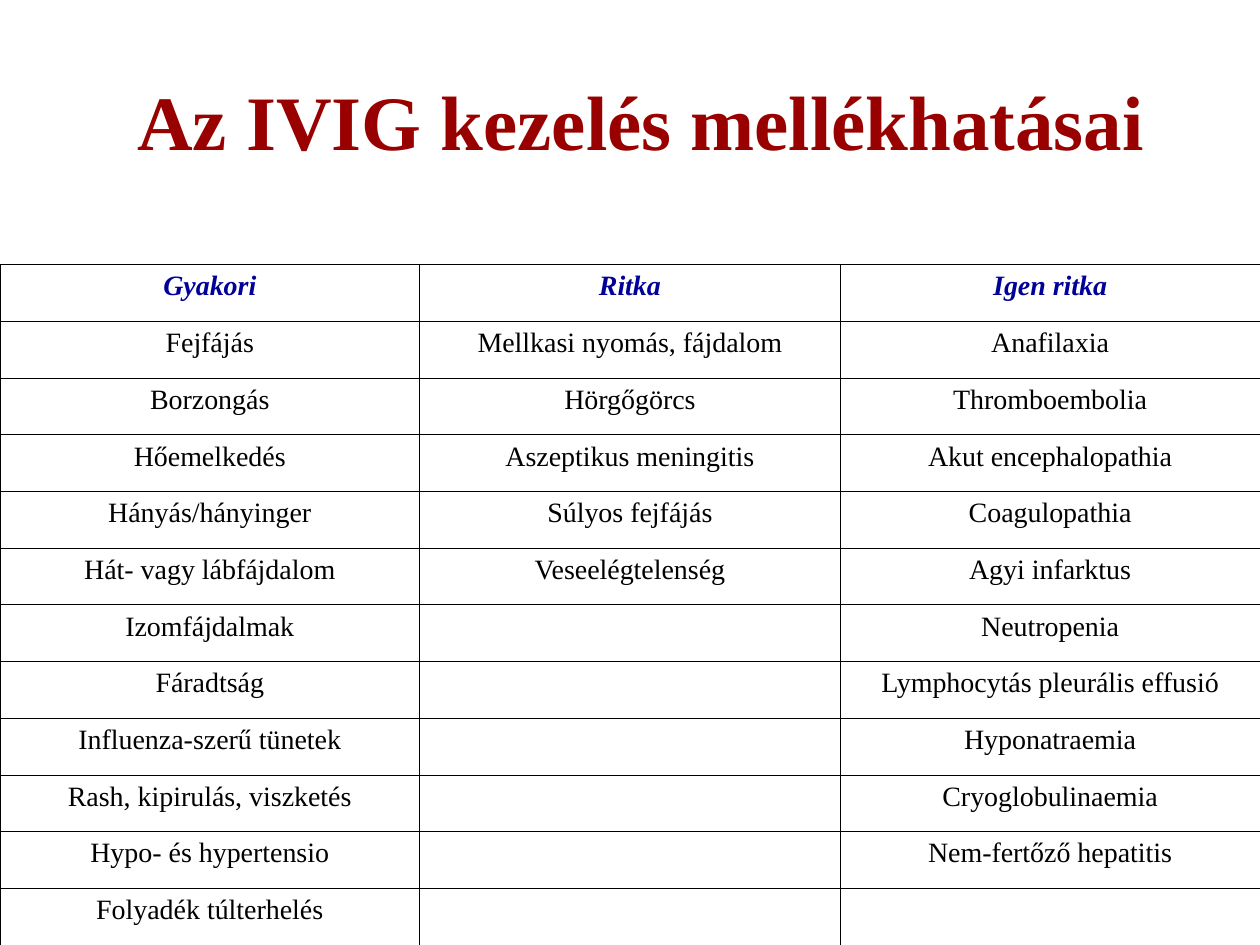
from lxml import etree
from pptx import Presentation
from pptx.dml.color import RGBColor
from pptx.enum.text import MSO_ANCHOR, PP_ALIGN
from pptx.oxml.ns import qn
from pptx.util import Inches, Pt

CENTER = PP_ALIGN.CENTER
MIDDLE = MSO_ANCHOR.MIDDLE
BLACK = RGBColor(0x00, 0x00, 0x00)
WHITE = RGBColor(0xFF, 0xFF, 0xFF)
BLUE = RGBColor(0x00, 0x00, 0x99)
RED = RGBColor(0x99, 0x00, 0x00)

TITLE = "Az IVIG kezelés mellékhatásai"
SIDE_EFFECTS = [
    ("Gyakori", "Ritka", "Igen ritka"),
    ("Fejfájás", "Mellkasi nyomás, fájdalom", "Anafilaxia"),
    ("Borzongás", "Hörgőgörcs", "Thromboembolia"),
    ("Hőemelkedés", "Aszeptikus meningitis", "Akut encephalopathia"),
    ("Hányás/hányinger", "Súlyos fejfájás", "Coagulopathia"),
    ("Hát- vagy lábfájdalom", "Veseelégtelenség", "Agyi infarktus"),
    ("Izomfájdalmak", "", "Neutropenia"),
    ("Fáradtság", "", "Lymphocytás pleurális effusió"),
    ("Influenza-szerű tünetek", "", "Hyponatraemia"),
    ("Rash, kipirulás, viszketés", "", "Cryoglobulinaemia"),
    ("Hypo- és hypertensio", "", "Nem-fertőző hepatitis"),
    ("Folyadék túlterhelés", "", ""),
]
COLUMN_WIDTHS = (3.33, 3.34, 3.33)
ROW_HEIGHT = 0.45


class SlideBuilder:
    font_name = "Times New Roman"
    border_width = Pt(0.45)

    def __init__(self, s):
        self.s = s

    def set_text(self, tf, text, size, color, bold=False, italic=False):
        p = tf.paragraphs[0]
        p.text = text
        p.alignment = CENTER
        font = p.font
        font.name = self.font_name
        font.size = Pt(size)
        font.bold = bold
        font.italic = italic
        font.color.rgb = color

    def title(self, text, x, y, w, h):
        sp = self.s.shapes.add_textbox(Inches(x), Inches(y), Inches(w), Inches(h))
        tf = sp.text_frame
        tf.word_wrap = True
        tf.vertical_anchor = MIDDLE
        self.set_text(tf, text, 44, RED, bold=True)

    def border(self, cell):
        tcPr = cell._tc.get_or_add_tcPr()
        for side in ("a:lnL", "a:lnR", "a:lnT", "a:lnB"):
            ln = etree.SubElement(tcPr, qn(side), w=str(self.border_width))
            fill = etree.SubElement(ln, qn("a:solidFill"))
            etree.SubElement(fill, qn("a:srgbClr"), val=str(BLACK))

    def table(self, rows, x, y, widths, row_height):
        frame = self.s.shapes.add_table(
            len(rows), len(widths), Inches(x), Inches(y),
            Inches(sum(widths)), Inches(row_height * len(rows)))
        table = frame.table
        table.horz_banding = False
        table.first_row = False
        for column, width in zip(table.columns, widths):
            column.width = Inches(width)
        for i, (row, texts) in enumerate(zip(table.rows, rows)):
            row.height = Inches(row_height)
            header = i == 0
            for cell, text in zip(row.cells, texts):
                self.border(cell)
                cell.fill.solid()
                cell.fill.fore_color.rgb = WHITE
                self.set_text(cell.text_frame, text, 16,
                              BLUE if header else BLACK, bold=header, italic=header)


def main():
    prs = Presentation()
    prs.slide_width = Inches(10)
    prs.slide_height = Inches(7.5)
    builder = SlideBuilder(prs.slides.add_slide(prs.slide_layouts[6]))
    builder.table(SIDE_EFFECTS, 0, 2.1, COLUMN_WIDTHS, ROW_HEIGHT)
    builder.title(TITLE, 0.83, 0.36, 8.52, 1.18)
    prs.save("out.pptx")


if __name__ == "__main__":
    main()
